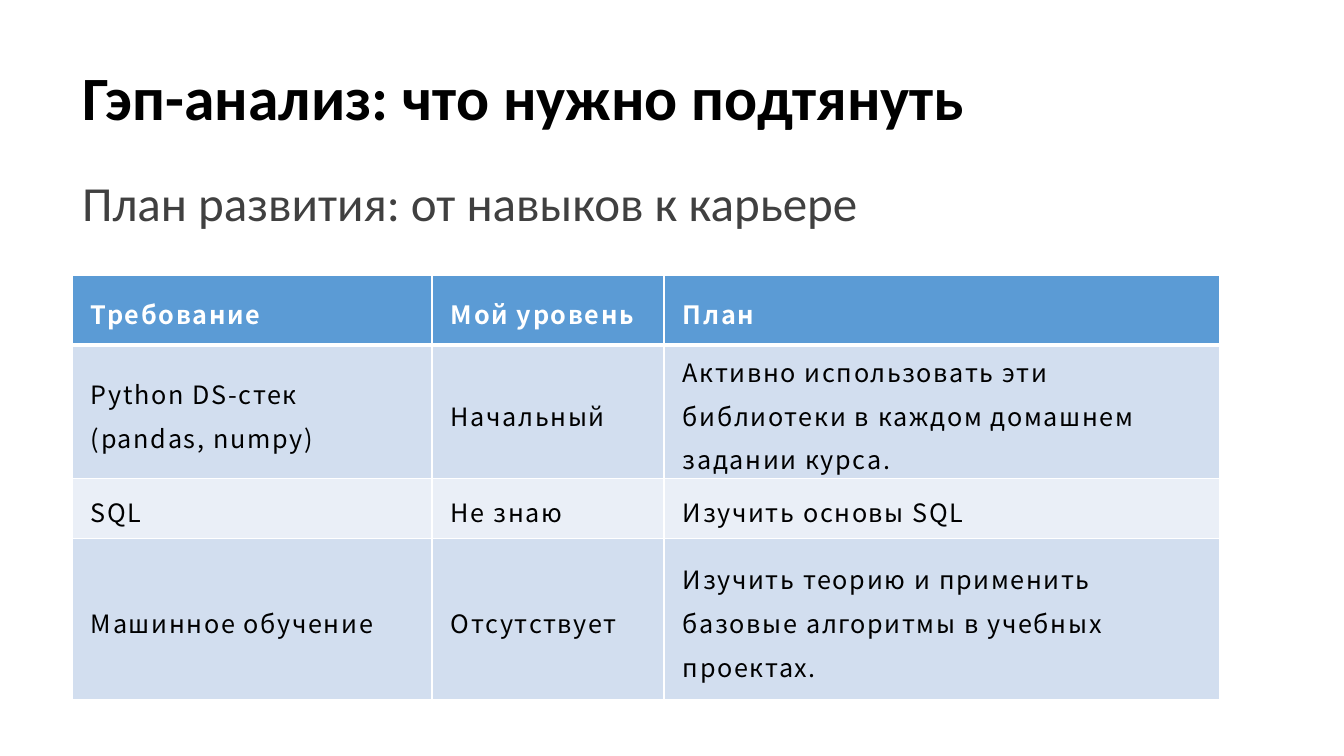
from dataclasses import dataclass

from lxml import etree
from pptx import Presentation
from pptx.dml.color import RGBColor
from pptx.enum.text import MSO_ANCHOR, MSO_AUTO_SIZE, PP_ALIGN
from pptx.oxml.ns import qn
from pptx.util import Emu, Pt

MIDDLE, TOP = MSO_ANCHOR.MIDDLE, MSO_ANCHOR.TOP
LEFT = PP_ALIGN.LEFT
NO_FIT = MSO_AUTO_SIZE.NONE
EMU_PER_PIXEL = 914400 / 100.8


@dataclass(frozen=True)
class Theme:
    """Colours, fonts and type sizes of the page."""
    heading_font: str = "Calibri"
    table_font: str = "Noto Sans CJK SC"
    black: str = "000000"
    grey: str = "404040"
    white: str = "FFFFFF"
    header_fill: str = "5B9BD5"
    odd_fill: str = "D2DEEF"
    even_fill: str = "EAEFF7"
    title_size: int = 44
    subtitle_size: int = 35
    table_size: int = 18
    letter_spacing: int = 120
    thin_line: int = 1
    thick_line: int = 3


@dataclass(frozen=True)
class Heading:
    """A placeholder text with its frame in pixels and its format."""
    text: str
    frame: tuple[int, int, int, int]
    size: int
    color: str
    bold: bool
    anchor: MSO_ANCHOR
    space_before: int


@dataclass(frozen=True)
class SkillRow:
    """One table row: requirement, level and plan."""
    height: int
    cells: tuple[str, str, str]


THEME = Theme()
TITLE = Heading("Гэп-анализ: что нужно подтянуть", (72, 28, 1159, 146),
                THEME.title_size, THEME.black, True, MIDDLE, 0)
SUBTITLE = Heading("План развития: от навыков к карьере", (72, 174, 959, 64),
                   THEME.subtitle_size, THEME.grey, False, TOP, 10)
TABLE_LEFT, TABLE_TOP = 72, 275
COLUMN_WIDTHS = (360, 232, 556)
SKILL_ROWS = (
    SkillRow(70, ("Требование", "Мой уровень", "План")),
    SkillRow(132, ("Python DS-стек (pandas, numpy)", "Начальный",
                   "Активно использовать эти библиотеки в каждом домашнем задании курса.")),
    SkillRow(60, ("SQL", "Не знаю", "Изучить основы SQL")),
    SkillRow(161, ("Машинное обучение", "Отсутствует",
                   "Изучить теорию и применить базовые алгоритмы в учебных проектах.")),
)


def pixels(count: float) -> Emu:
    """Turn pixels into EMU."""
    return Emu(round(count * EMU_PER_PIXEL))


def apply(target, values: dict) -> None:
    """Set each named attribute of the target."""
    for name, value in values.items():
        setattr(target, name, value)


def write(text_frame, text: str, para_format: dict, font: dict, color: str):
    """Write one formatted paragraph and return its span."""
    para = text_frame.paragraphs[0]
    apply(para, para_format)
    span = para.add_run()
    span.text = text
    apply(span.font, font)
    span.font.color.rgb = RGBColor.from_string(color)
    return span


def fill_heading(box, heading: Heading) -> None:
    """Place and fill a title or body placeholder."""
    apply(box, dict(zip(("left", "top", "width", "height"), map(pixels, heading.frame))))
    apply(box.text_frame, {"word_wrap": True, "auto_size": NO_FIT,
                           "vertical_anchor": heading.anchor})
    write(box.text_frame, heading.text,
          {"alignment": LEFT, "line_spacing": 0.9, "space_before": Pt(heading.space_before)},
          {"name": THEME.heading_font, "size": Pt(heading.size), "bold": heading.bold},
          heading.color)


def remove_bullet(para) -> None:
    """Take the bullet and hanging indent off a paragraph."""
    properties = para._p.get_or_add_pPr()
    properties.set("marL", "0")
    properties.set("indent", "0")
    etree.SubElement(properties, qn("a:buNone"))


def add_border(cell, side: str, width: int) -> None:
    """Draw a white line on one side of a cell."""
    line = etree.SubElement(cell._tc.get_or_add_tcPr(), qn(f"a:ln{side}"), w=str(Pt(width)))
    solid = etree.SubElement(line, qn("a:solidFill"))
    etree.SubElement(solid, qn("a:srgbClr"), val=THEME.white)


def fill_cell(cell, text: str, row_index: int) -> None:
    """Fill a table cell in the style of its row."""
    is_header = row_index == 0
    thick_side = {0: "B", 1: "T"}.get(row_index)
    for side in "LRTB":
        add_border(cell, side, THEME.thick_line if side == thick_side else THEME.thin_line)
    band = THEME.odd_fill if row_index % 2 else THEME.even_fill
    cell.fill.solid()
    cell.fill.fore_color.rgb = RGBColor.from_string(THEME.header_fill if is_header else band)
    apply(cell, {"vertical_anchor": MIDDLE, "margin_left": pixels(19), "margin_right": pixels(19),
                 "margin_top": pixels(1), "margin_bottom": pixels(1)})
    span = write(cell.text_frame, text, {"alignment": LEFT, "line_spacing": 1.2},
                 {"name": THEME.table_font, "size": Pt(THEME.table_size), "bold": is_header},
                 THEME.white if is_header else THEME.black)
    properties = span._r.get_or_add_rPr()
    properties.set("spc", str(THEME.letter_spacing))
    etree.SubElement(properties, qn("a:ea"), typeface=THEME.table_font)


def add_skill_table(page) -> None:
    """Add the table of skill gaps."""
    height = sum(row.height for row in SKILL_ROWS)
    table = page.shapes.add_table(
        len(SKILL_ROWS), len(COLUMN_WIDTHS),
        *map(pixels, (TABLE_LEFT, TABLE_TOP, sum(COLUMN_WIDTHS), height))).table
    for column, width in zip(table.columns, COLUMN_WIDTHS):
        column.width = pixels(width)
    for row_index, skill in enumerate(SKILL_ROWS):
        table.rows[row_index].height = pixels(skill.height)
        for cell, text in zip(table.rows[row_index].cells, skill.cells):
            fill_cell(cell, text, row_index)


def main() -> None:
    """Build and save the deck."""
    deck = Presentation()
    apply(deck, {"slide_width": pixels(1344), "slide_height": pixels(756)})
    page = deck.slides.add_slide(deck.slide_layouts[1])
    fill_heading(page.shapes.title, TITLE)
    subtitle = page.placeholders[1]
    fill_heading(subtitle, SUBTITLE)
    remove_bullet(subtitle.text_frame.paragraphs[0])
    add_skill_table(page)
    deck.save("out.pptx")


main()
